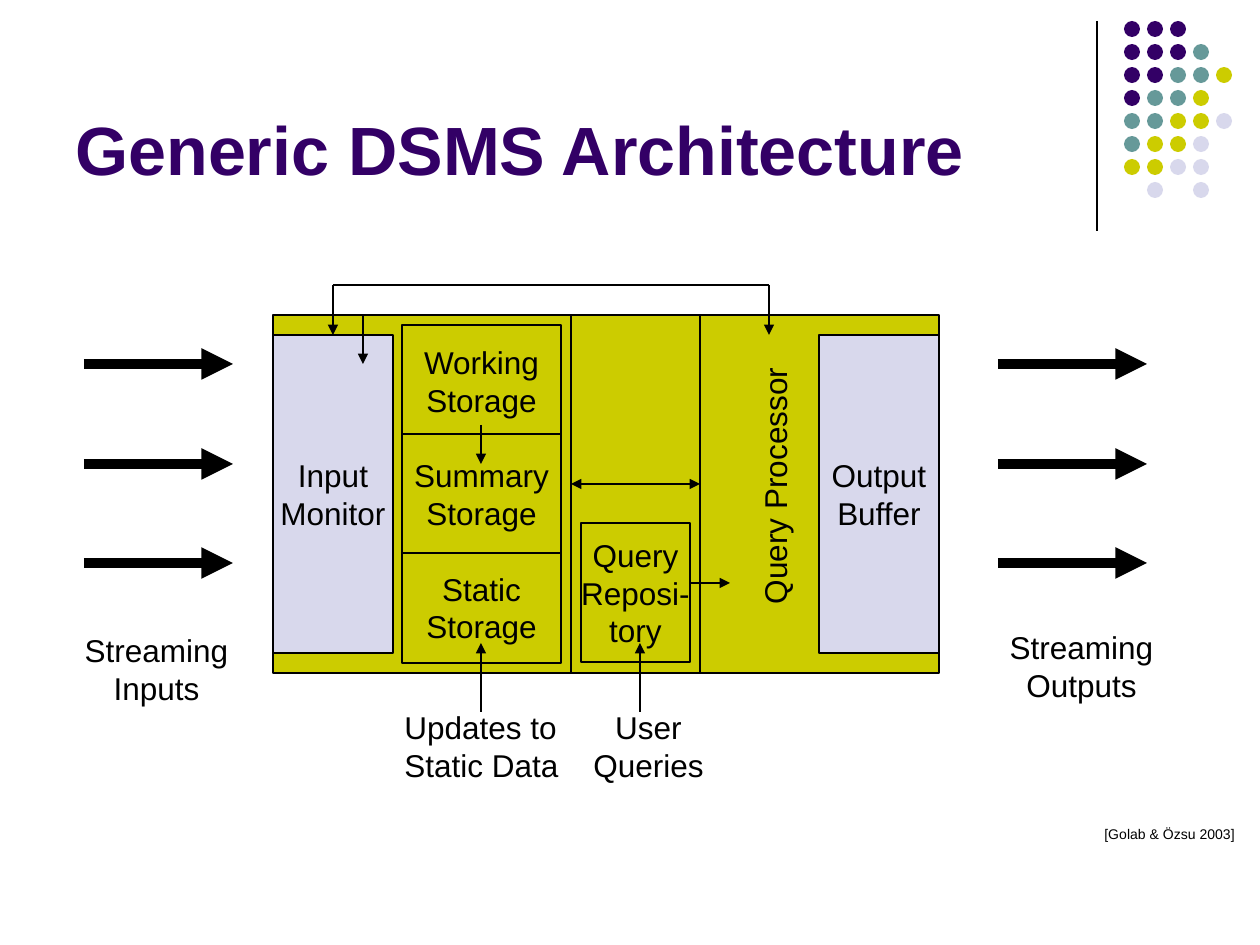
from dataclasses import dataclass
from typing import Optional

from lxml import etree
from pptx import Presentation
from pptx import util as u
from pptx.dml import color as c
from pptx.enum import shapes, text
from pptx.oxml import ns

EMU_PER_PX = 914400 / 126


@dataclass(frozen=True)
class Theme:
    purple: str = "330066"
    teal: str = "669999"
    olive: str = "CCCC00"
    lilac: str = "D8D8EC"
    ink: str = "000000"
    font: str = "Arial"
    title_pt: int = 39
    body_pt: int = 18
    credit_pt: int = 8
    thin_pt: float = 0.75
    thick_pt: float = 6
    group_gap_pt: float = 21.6


THEME = Theme()


@dataclass(frozen=True)
class Block:
    """A rectangle; each group of lines is set apart by a gap."""
    name: str
    left: int
    top: int
    width: int
    height: int
    fill: str
    groups: tuple = ()


@dataclass(frozen=True)
class Label:
    left: int
    top: int
    width: int
    height: int
    lines: tuple
    align: str = "CENTER"
    anchor: str = "TOP"
    size: int = THEME.body_pt
    color: str = THEME.ink
    bold: bool = False
    rotation: int = 0
    fit: str = "SHAPE_TO_FIT_TEXT"


@dataclass(frozen=True)
class Line:
    x1: int
    y1: int
    x2: int
    y2: int
    head: bool = False
    tail: bool = False
    width: float = THEME.thin_pt
    end_block: Optional[str] = None
    end_site: int = 0


BLOCKS = [
    Block("engine", 273, 315, 666, 358, THEME.olive),
    Block("input", 273, 335, 120, 318, THEME.lilac, (("Input", "Monitor"),)),
    Block("output", 819, 335, 120, 318, THEME.lilac, (("Output", "Buffer"),)),
    Block("repository", 581, 523, 109, 139, THEME.olive,
          (("Query", "Reposi-", "tory"),)),
    Block("storage", 402, 325, 159, 338, THEME.olive,
          tuple((kind, "Storage") for kind in ("Working", "Summary", "Static"))),
]

LABELS = [
    Label(63, 16, 1040, 179, ("Generic DSMS Architecture",), "LEFT", "BOTTOM",
          THEME.title_pt, THEME.purple, True, fit="NONE"),
    Label(643, 460, 263, 50, ("Query Processor",), "LEFT", rotation=270),
    Label(72, 625, 169, 88, ("Streaming", "Inputs")),
    Label(997, 622, 169, 88, ("Streaming", "Outputs")),
    Label(392, 702, 181, 88, ("Updates to", "Static Data"), "LEFT"),
    Label(580, 702, 137, 88, ("User", "Queries")),
    Label(1092, 819, 157, 30, ("[Golab & Özsu 2003]",), "LEFT",
          size=THEME.credit_pt),
]

STREAM_LEFTS = (84, 998)
STREAM_ROWS = (364, 464, 563)
STREAM_LENGTH = 149

LINES = [
    Line(1097, 21, 1097, 231),                       # title rule
    Line(571, 315, 571, 673),                        # engine columns
    Line(700, 315, 700, 673),
    Line(402, 434, 561, 434),                        # storage rows
    Line(402, 553, 561, 553),
    Line(481, 425, 481, 464, tail=True),             # data flow
    Line(481, 712, 481, 643, tail=True),
    Line(640, 712, 640, 643, tail=True),
    Line(690, 583, 730, 583, tail=True),
    Line(571, 484, 700, 484, head=True, tail=True),
    Line(363, 315, 363, 364, tail=True),
    Line(333, 285, 333, 335, tail=True, end_block="input"),  # feedback
    Line(769, 285, 769, 335, tail=True),
    Line(333, 285, 769, 285),
] + [Line(left, row, left + STREAM_LENGTH, row, tail=True, width=THEME.thick_pt)
     for left in STREAM_LEFTS for row in STREAM_ROWS]

DOT_ROWS = ("PPP", "PPPT", "PPTTO", "PTTO", "TTOOL", "TOOL", "OOLL", " L L")
DOT_COLORS = {"P": THEME.purple, "T": THEME.teal, "O": THEME.olive, "L": THEME.lilac}
DOT_LEFT, DOT_TOP, DOT_PITCH, DOT_SIZE = 1124, 21, 23, 16


def px(*values: int) -> list:
    return [u.Emu(round(value * EMU_PER_PX)) for value in values]


def rgb(value: str) -> c.RGBColor:
    return c.RGBColor.from_string(value)


def set_all(target, values: dict) -> None:
    for name, value in values.items():
        setattr(target, name, value)


def write(frame, groups: tuple, align: str, anchor: str, size: int,
          color: str, bold: bool = False) -> None:
    set_all(frame, {"word_wrap": False,
                    "vertical_anchor": getattr(text.MSO_ANCHOR, anchor)})
    rows = [(line, number > 0 and index == 0)
            for number, lines in enumerate(groups)
            for index, line in enumerate(lines)]
    for index, (line, opens_group) in enumerate(rows):
        para = frame.add_paragraph() if index else frame.paragraphs[0]
        para.alignment = getattr(text.PP_ALIGN, align)
        if opens_group:
            para.space_before = u.Pt(THEME.group_gap_pt)
        span = para.add_run()
        span.text = line
        set_all(span.font, {"name": THEME.font, "size": u.Pt(size), "bold": bold})
        span.font.color.rgb = rgb(color)


def draw_shape(page, kind, bounds: tuple, fill: str):
    shape = page.shapes.add_shape(kind, *px(*bounds))
    shape.shadow.inherit = False
    shape.fill.solid()
    shape.fill.fore_color.rgb = rgb(fill)
    return shape


def draw_block(page, block: Block):
    box = draw_shape(page, shapes.MSO_SHAPE.RECTANGLE,
                     (block.left, block.top, block.width, block.height), block.fill)
    box.line.color.rgb = rgb(THEME.ink)
    box.line.width = u.Pt(THEME.thin_pt)
    if block.groups:
        write(box.text_frame, block.groups, "CENTER", "MIDDLE",
              THEME.body_pt, THEME.ink)
    return box


def draw_label(page, label: Label) -> None:
    box = page.shapes.add_textbox(
        *px(label.left, label.top, label.width, label.height))
    box.rotation = label.rotation
    write(box.text_frame, (label.lines,), label.align, label.anchor,
          label.size, label.color, label.bold)
    box.text_frame.auto_size = getattr(text.MSO_AUTO_SIZE, label.fit)


def draw_line(page, line: Line, boxes: dict) -> None:
    connector = page.shapes.add_connector(
        shapes.MSO_CONNECTOR.STRAIGHT, *px(line.x1, line.y1, line.x2, line.y2))
    connector.line.color.rgb = rgb(THEME.ink)
    connector.line.width = u.Pt(line.width)
    properties = connector.element.spPr
    outline = properties.find(ns.qn("a:ln"))
    for tag, wanted in (("a:headEnd", line.head), ("a:tailEnd", line.tail)):
        if wanted:
            etree.SubElement(outline, ns.qn(tag), type="triangle")
    etree.SubElement(properties, ns.qn("a:effectLst"))
    if line.end_block:
        connector.end_connect(boxes[line.end_block], line.end_site)


def draw_dots(page) -> None:
    for row, pattern in enumerate(DOT_ROWS):
        for column, key in enumerate(pattern):
            if key in DOT_COLORS:
                bounds = (DOT_LEFT + column * DOT_PITCH, DOT_TOP + row * DOT_PITCH,
                          DOT_SIZE, DOT_SIZE)
                dot = draw_shape(page, shapes.MSO_SHAPE.OVAL, bounds, DOT_COLORS[key])
                dot.line.fill.background()


def main() -> None:
    deck = Presentation()
    set_all(deck, {"slide_width": u.Inches(10), "slide_height": u.Inches(7.5)})
    page = deck.slides.add_slide(deck.slide_layouts[6])
    draw_dots(page)
    boxes = {block.name: draw_block(page, block) for block in BLOCKS}
    for line in LINES:
        draw_line(page, line, boxes)
    for label in LABELS:
        draw_label(page, label)
    deck.save("out.pptx")


if __name__ == "__main__":
    main()
